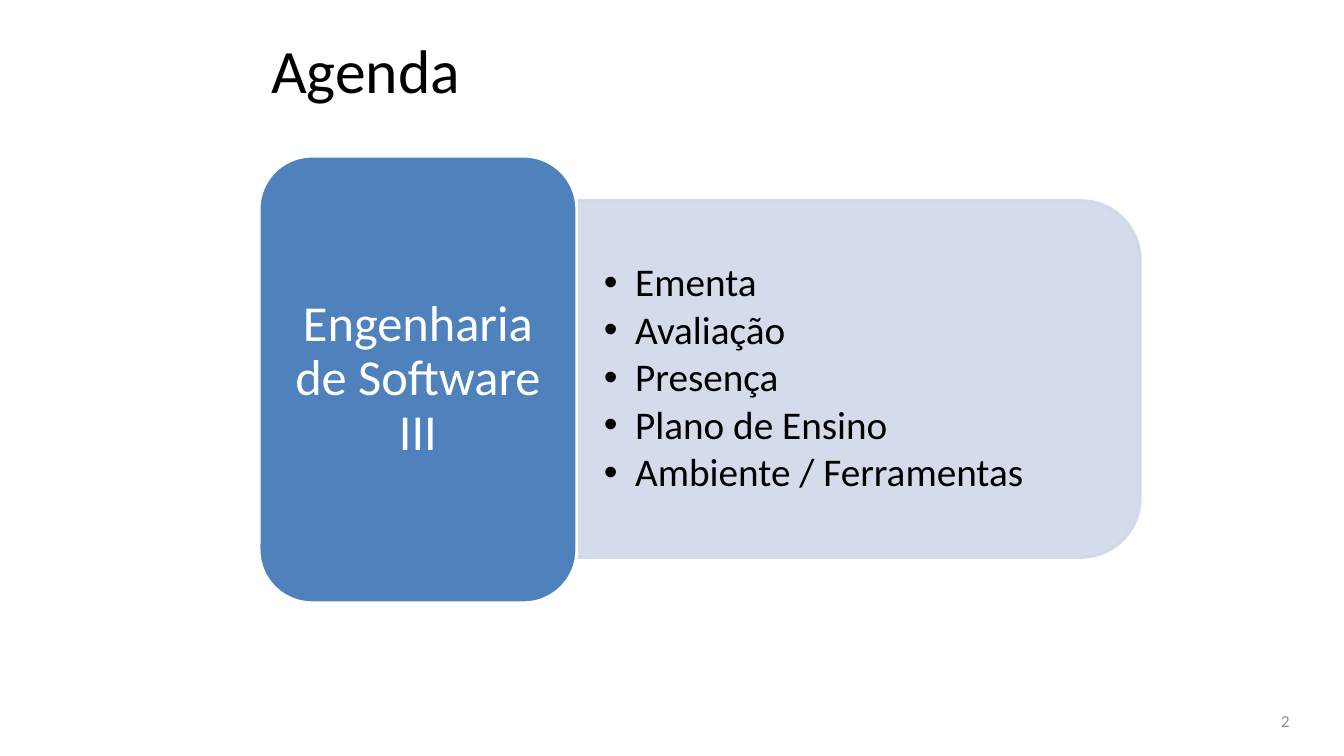
from lxml import etree
from pptx import Presentation
from pptx.dml.color import RGBColor
from pptx.enum import shapes, text
from pptx.oxml.ns import qn
from pptx.util import Inches, Pt

COLORS = {"ink": "000000", "number": "8C8C8C", "panel": "D0D8E8",
          "topic": "4F81BD", "white": "FFFFFF"}
TOPICS = ["Ementa", "Avaliação", "Presença", "Plano de Ensino",
          "Ambiente / Ferramentas"]


def rgb(name):
    return RGBColor.from_string(COLORS[name])


def place(sp, x, y, w, h):
    sp.left, sp.top, sp.width, sp.height = map(Inches, (x, y, w, h))


def set_frame(tf, dx=0.1, dy=0.05):
    values = {"word_wrap": True, "auto_size": text.MSO_AUTO_SIZE.NONE,
              "vertical_anchor": text.MSO_ANCHOR.MIDDLE,
              "margin_left": Inches(dx), "margin_right": Inches(dx),
              "margin_top": Inches(dy), "margin_bottom": Inches(dy)}
    for name, value in values.items():
        setattr(tf, name, value)


def write(p, words, size, color, **paragraph):
    r = p.add_run()
    r.text = words
    for name, value in paragraph.items():
        setattr(p, name, value)
    for name, value in {"name": "Calibri", "size": Pt(size)}.items():
        setattr(r.font, name, value)
    r.font.color.rgb = rgb(color)


def add_block(s, kind, fill, line, box):
    sp = s.shapes.add_shape(kind, *map(Inches, box))
    sp.shadow.inherit = False
    sp.fill.solid()
    sp.fill.fore_color.rgb = rgb(fill)
    sp.line.color.rgb = rgb(line)
    sp.line.width = Pt(2)
    return sp


def add_title(s, x, y, w, h):
    sp = s.shapes.title
    place(sp, x, y, w, h)
    set_frame(sp.text_frame)
    write(sp.text_frame.paragraphs[0], "Agenda", 44, "ink",
          alignment=text.PP_ALIGN.LEFT)


def add_topics(s, x, y, w, h):
    panel = add_block(s, shapes.MSO_SHAPE.ROUND_2_SAME_RECTANGLE, "panel",
                      "panel", (x + (w - h) / 2, y + (h - w) / 2, h, w))
    panel.rotation = 90
    for color in panel._element.spPr.iter(qn("a:srgbClr")):
        etree.SubElement(color, qn("a:alpha"), val="90000")

    body = s.placeholders[1]
    s.shapes._spTree.append(body._element)
    place(body, x, y + 0.17, w - 0.17, h - 0.34)
    tf = body.text_frame
    set_frame(tf, 0.27, 0.14)
    for i, topic in enumerate(TOPICS):
        p = tf.add_paragraph() if i else tf.paragraphs[0]
        pPr = p._p.get_or_add_pPr()
        pPr.set("marL", str(Inches(0.31)))
        pPr.set("indent", str(Inches(-0.31)))
        etree.SubElement(pPr, qn("a:buChar"), char="•")
        write(p, topic, 28, "ink", line_spacing=0.9, space_before=Pt(0),
              space_after=Pt(3.7), alignment=text.PP_ALIGN.LEFT)


def add_subject(s, x, y, w, h):
    sp = add_block(s, shapes.MSO_SHAPE.ROUNDED_RECTANGLE, "topic", "white",
                   (x, y, w, h))
    set_frame(sp.text_frame, 0.15, 0.07)
    write(sp.text_frame.paragraphs[0], "Engenharia de Software III", 36,
          "white", line_spacing=0.9, alignment=text.PP_ALIGN.CENTER)


def add_number(s, x, y, w, h):
    sp = s.shapes.add_textbox(*map(Inches, (x, y, w, h)))
    set_frame(sp.text_frame)
    write(sp.text_frame.paragraphs[0], "2", 12, "number",
          alignment=text.PP_ALIGN.RIGHT)


def main():
    prs = Presentation()
    prs.slide_width, prs.slide_height = Inches(13.33), Inches(7.5)
    s = prs.slides.add_slide(prs.slide_layouts[1])
    add_title(s, 2.59, 0.06, 8.83, 1.25)
    add_topics(s, 5.72, 1.99, 5.59, 3.54)
    add_subject(s, 2.57, 1.55, 3.15, 4.43)
    add_number(s, 9.78, 6.95, 3.11, 0.4)
    prs.save("out.pptx")


if __name__ == "__main__":
    main()
